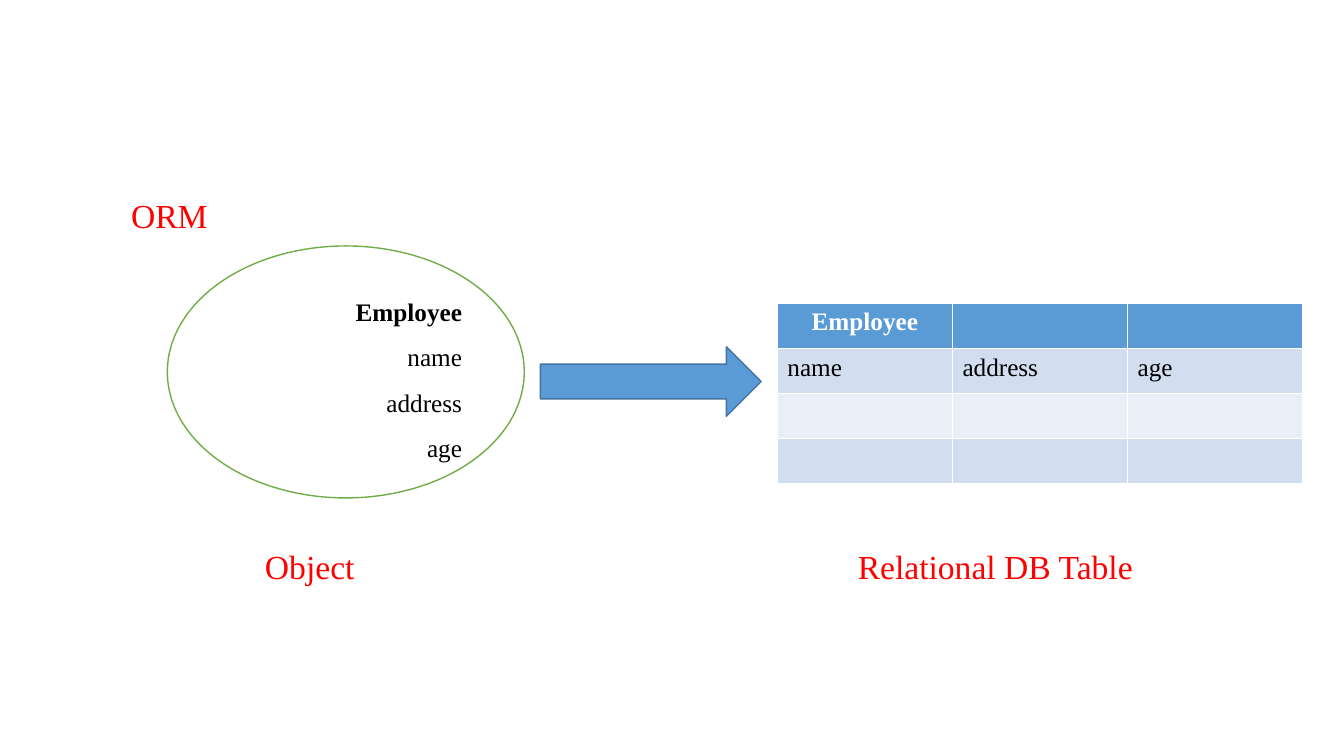
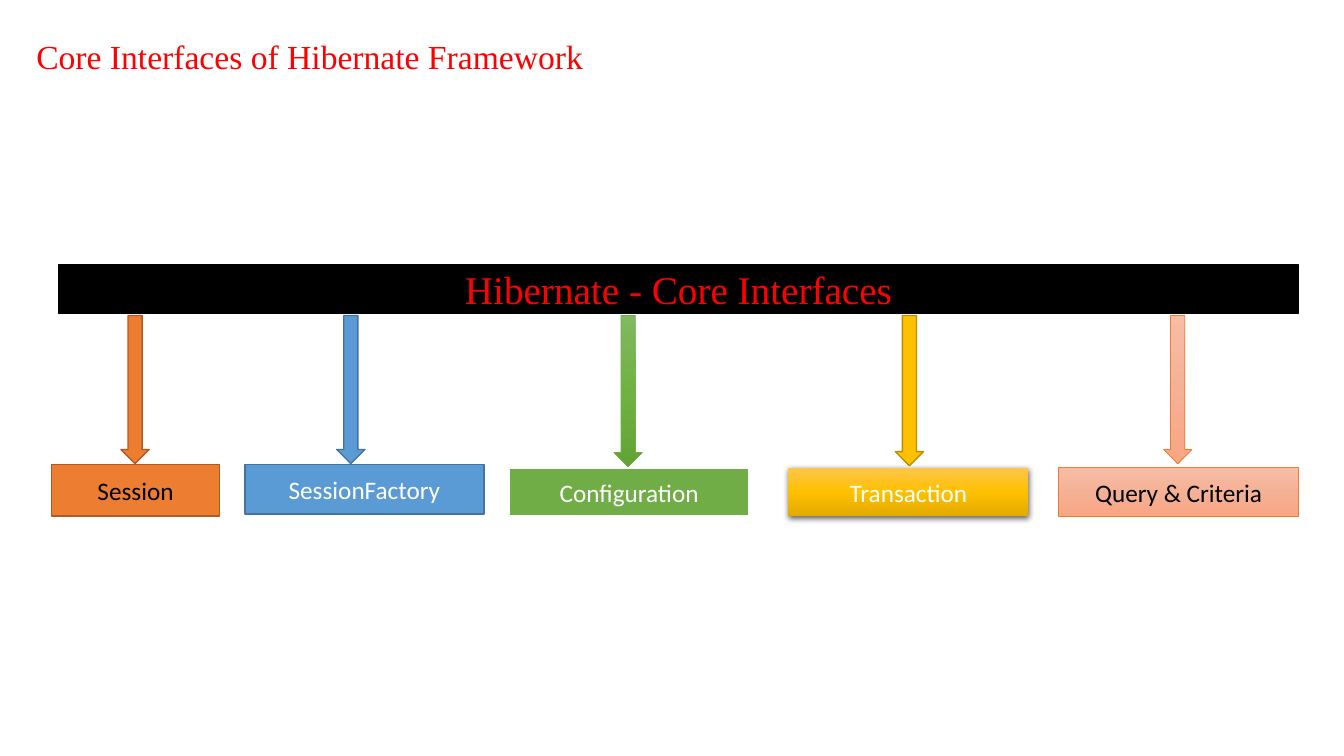
from dataclasses import dataclass

from lxml import etree
from pptx import Presentation
from pptx.dml.color import RGBColor
from pptx.enum.shapes import MSO_SHAPE as Preset
from pptx.enum.text import MSO_ANCHOR as Anchor, MSO_AUTO_SIZE as AutoSize, PP_ALIGN as Align
from pptx.oxml.ns import qn
from pptx.util import Inches, Pt

COLORS = {
    "heading": "FF0000", "black": "000000", "white": "FFFFFF",
    "orange": "ED7D31", "orange_edge": "AF5C24",
    "blue": "5B9BD5", "blue_edge": "43739E",
    "green": "70AD47", "gold": "FFC000", "gold_edge": "BD8E00",
    "band_dark": "D2DEEF", "band_light": "EAEFF7",
}
GRADIENTS = {
    "green_fade": ["81B861", "6FB242", "62A336"],
    "gold_fade": ["FFC64B", "FFC000", "E3AB00"],
    "peach_fade": ["F7BDA5", "F5B196", "F8A582"],
}
SERIF = "Times New Roman"
SANS = "Calibri"
TITLE_ONLY = 5
ARROW_TOP = 3.13
ARROW_WIDTH = 0.28


@dataclass
class Style:
    fill: str
    line: str = ""
    weight: float = 1
    shadow: bool = False


@dataclass
class Interface:
    """One box under the banner, with the arrow that leads to it."""
    label: str
    color: str
    area: tuple
    box_style: Style
    arrow_left: float
    arrow_height: float
    arrow_style: Style


ORANGE = Style("orange", "orange_edge")
BLUE = Style("blue", "blue_edge")
PEACH = Style("peach_fade", "orange", 0.5)

INTERFACES = [
    Interface("Session", "black", (0.51, 4.61, 1.67, 0.51), ORANGE, 1.2, 1.47, ORANGE),
    Interface("SessionFactory", "white", (2.43, 4.61, 2.37, 0.49), BLUE, 3.34, 1.47, BLUE),
    Interface("Configuration", "white", (5.05, 4.64, 2.38, 0.48), Style("green", "white", 1.5),
              6.09, 1.5, Style("green_fade", "green", 0.5)),
    Interface("Transaction", "white", (7.82, 4.64, 2.38, 0.48), Style("gold_fade", shadow=True),
              8.88, 1.49, Style("gold", "gold_edge")),
    Interface("Query & Criteria", "black", (10.5, 4.64, 2.38, 0.48), PEACH, 11.54, 1.47, PEACH),
]


def rgb(name):
    return RGBColor.from_string(COLORS[name])


def inches(area):
    return [Inches(length) for length in area]


def write(para, text, size, color, font=SERIF, bold=False, align=Align.LEFT):
    para.alignment = align
    span = para.add_run()
    span.text = text
    span.font.size = Pt(size)
    span.font.name = font
    span.font.bold = bold
    span.font.color.rgb = rgb(color)


def write_heading(box, text):
    frame = box.text_frame
    frame.word_wrap = True
    frame.auto_size = AutoSize.NONE
    frame.vertical_anchor = Anchor.MIDDLE
    write(frame.paragraphs[0], text, 24, "heading")


def add_titled_slide(deck, text, area):
    page = deck.slides.add_slide(deck.slide_layouts[TITLE_ONLY])
    title = page.shapes.title
    title.left, title.top, title.width, title.height = inches(area)
    write_heading(title, text)
    return page


def add_caption(page, text, area):
    write_heading(page.shapes.add_textbox(*inches(area)), text)


def add_color(parent, value):
    return etree.SubElement(parent, qn("a:srgbClr"), val=value)


def fill_gradient(shape, values):
    """Fade from top to bottom through evenly spaced colours."""
    shape.fill.gradient()
    shape.fill.gradient_angle = 270
    stops = shape._element.spPr.find(qn("a:gradFill")).find(qn("a:gsLst"))
    for stop in list(stops):
        stops.remove(stop)
    for index, value in enumerate(values):
        position = 100000 * index // (len(values) - 1)
        add_color(etree.SubElement(stops, qn("a:gs"), pos=str(position)), value)


def add_drop_shadow(shape):
    effects = shape._element.spPr.find(qn("a:effectLst"))
    shadow = etree.SubElement(effects, qn("a:outerShdw"), blurRad=str(Pt(4.5)),
                              dist=str(Pt(1.5)), dir="5400000", algn="ctr", rotWithShape="0")
    etree.SubElement(add_color(shadow, COLORS["black"]), qn("a:alpha"), val="63000")


def add_figure(page, preset, area, style):
    shape = page.shapes.add_shape(preset, *inches(area))
    shape.shadow.inherit = False
    if style.fill in GRADIENTS:
        fill_gradient(shape, GRADIENTS[style.fill])
    else:
        shape.fill.solid()
        shape.fill.fore_color.rgb = rgb(style.fill)
    if style.line:
        shape.line.color.rgb = rgb(style.line)
        shape.line.width = Pt(style.weight)
    else:
        shape.line.fill.background()
    if style.shadow:
        add_drop_shadow(shape)
    return shape


def add_label_box(page, text, area, style, size, color, font):
    box = add_figure(page, Preset.RECTANGLE, area, style)
    box.text_frame.vertical_anchor = Anchor.MIDDLE
    write(box.text_frame.paragraphs[0], text, size, color, font, align=Align.CENTER)


def add_object_ellipse(page, class_name, fields):
    ellipse = add_figure(page, Preset.OVAL, (1.66, 2.44, 3.54, 2.5), Style("white", "green"))
    frame = ellipse.text_frame
    frame.vertical_anchor = Anchor.MIDDLE
    for index, text in enumerate([class_name, *fields]):
        para = frame.add_paragraph() if index else frame.paragraphs[0]
        para.line_spacing = 1.5
        write(para, text, 18, "black", bold=index == 0, align=Align.RIGHT)


def add_record_table(page, class_name, fields):
    """Header row, field row and two empty records."""
    area = inches((7.71, 3.01, 5.21, 1.79))
    table = page.shapes.add_table(4, len(fields), *area).table
    row_fills = ["blue", "band_dark", "band_light", "band_dark"]
    for row, fill in enumerate(row_fills):
        for cell in table.rows[row].cells:
            cell.fill.solid()
            cell.fill.fore_color.rgb = rgb(fill)
    write(table.cell(0, 0).text_frame.paragraphs[0], class_name, 18, "white",
          bold=True, align=Align.CENTER)
    for column, field in enumerate(fields):
        write(table.cell(1, column).text_frame.paragraphs[0], field, 18, "black")


def build_mapping_slide(deck):
    page = add_titled_slide(deck, "ORM", (1.2, 1.88, 3, 0.5))
    fields = ["name", "address", "age"]
    add_object_ellipse(page, "Employee", fields)
    add_record_table(page, "Employee", fields)
    add_figure(page, Preset.RIGHT_ARROW, (5.36, 3.44, 2.19, 0.69), BLUE)
    add_caption(page, "Object", (2.53, 5.37, 2, 0.5))
    add_caption(page, "Relational DB Table", (8.41, 5.37, 4, 0.5))


def build_interfaces_slide(deck):
    page = add_titled_slide(deck, "Core Interfaces of Hibernate Framework",
                            (0.26, 0.31, 12.86, 0.5))
    add_label_box(page, "Hibernate - Core Interfaces", (0.58, 2.63, 12.3, 0.48),
                  Style("black", "black"), 28, "heading", SERIF)
    for item in INTERFACES:
        add_label_box(page, item.label, item.area, item.box_style, 18, item.color, SANS)
        arrow_area = (item.arrow_left, ARROW_TOP, ARROW_WIDTH, item.arrow_height)
        add_figure(page, Preset.DOWN_ARROW, arrow_area, item.arrow_style)


def main():
    deck = Presentation()
    deck.slide_width, deck.slide_height = Inches(13.33), Inches(7.5)
    build_mapping_slide(deck)
    build_interfaces_slide(deck)
    deck.save("out.pptx")


if __name__ == "__main__":
    main()
